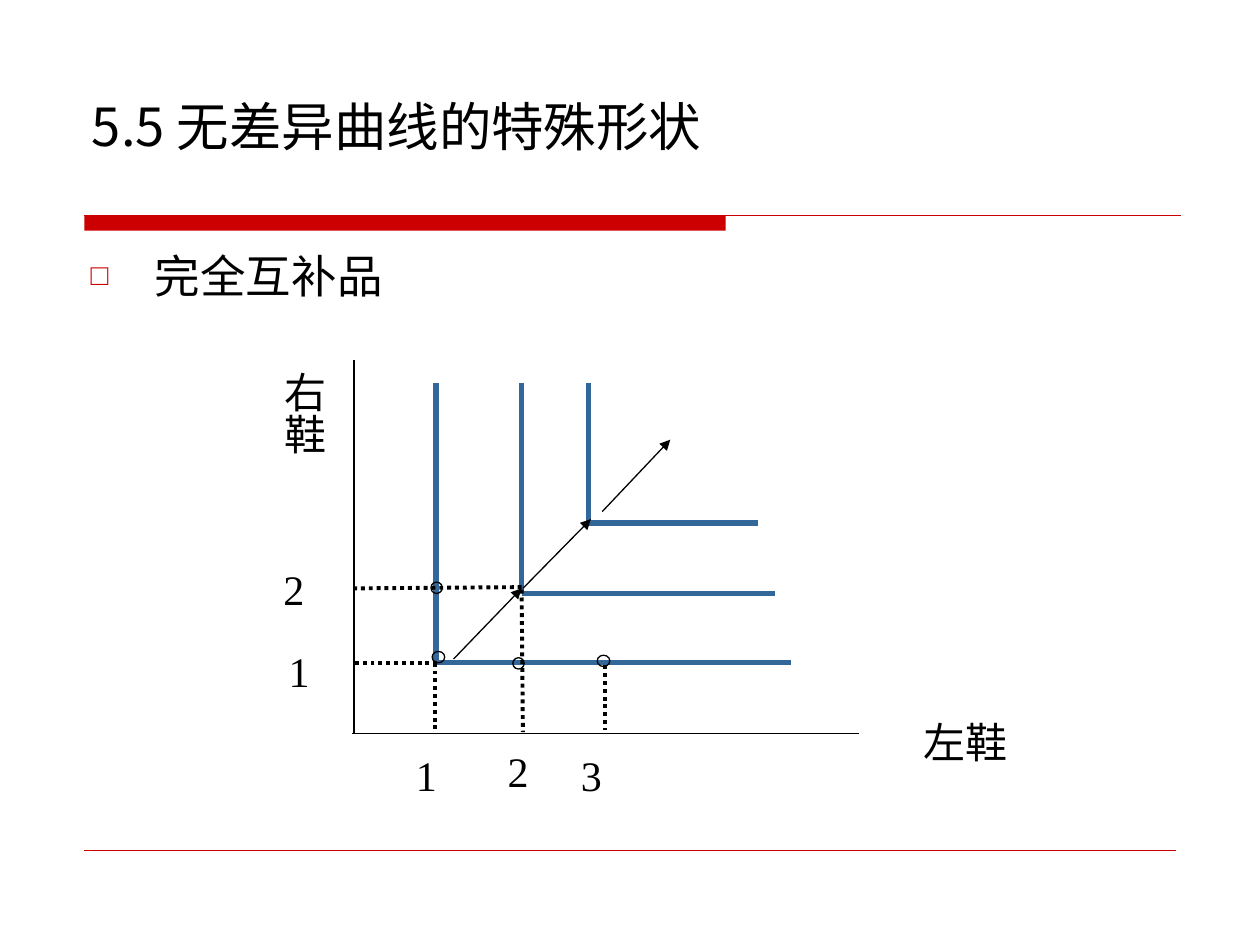
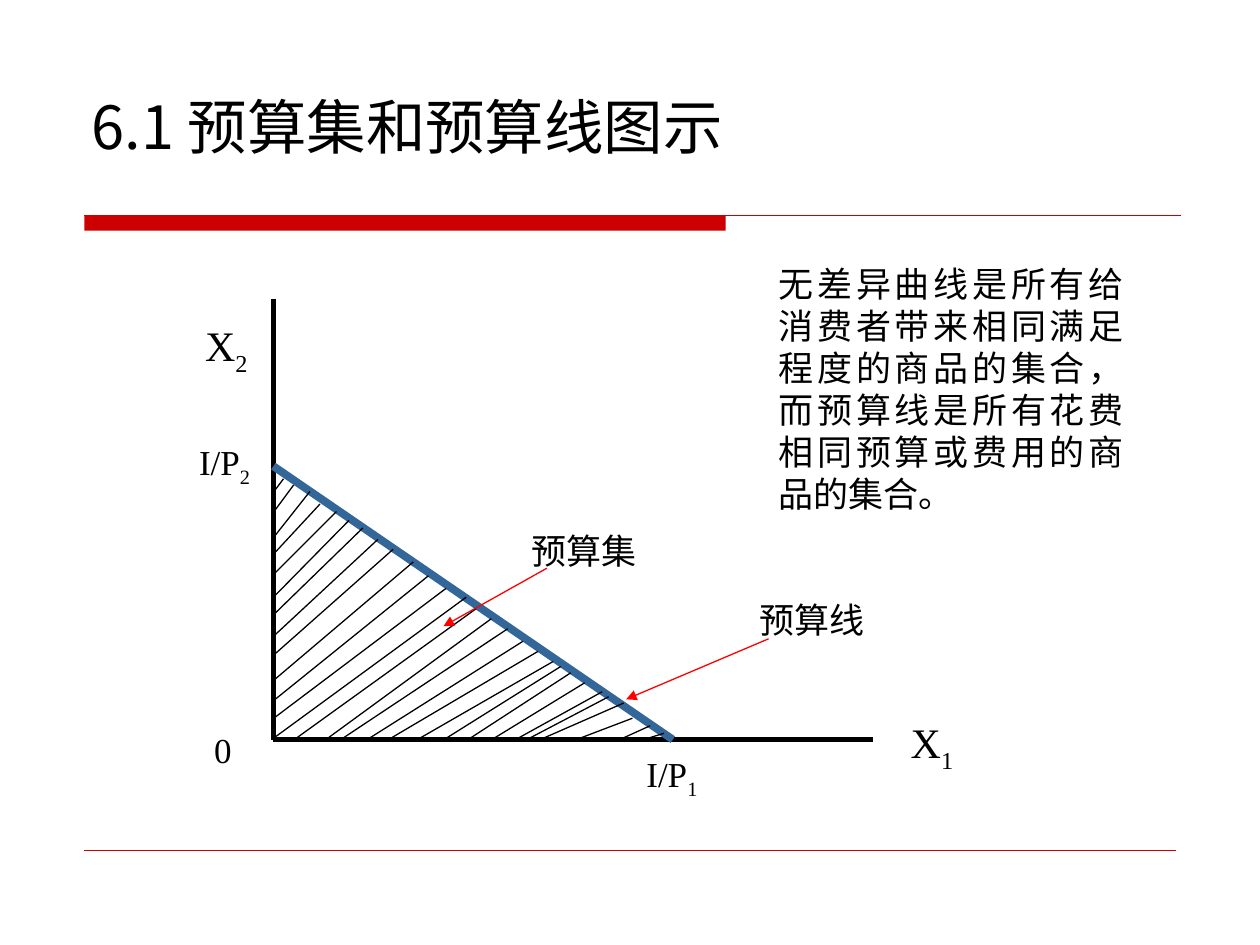
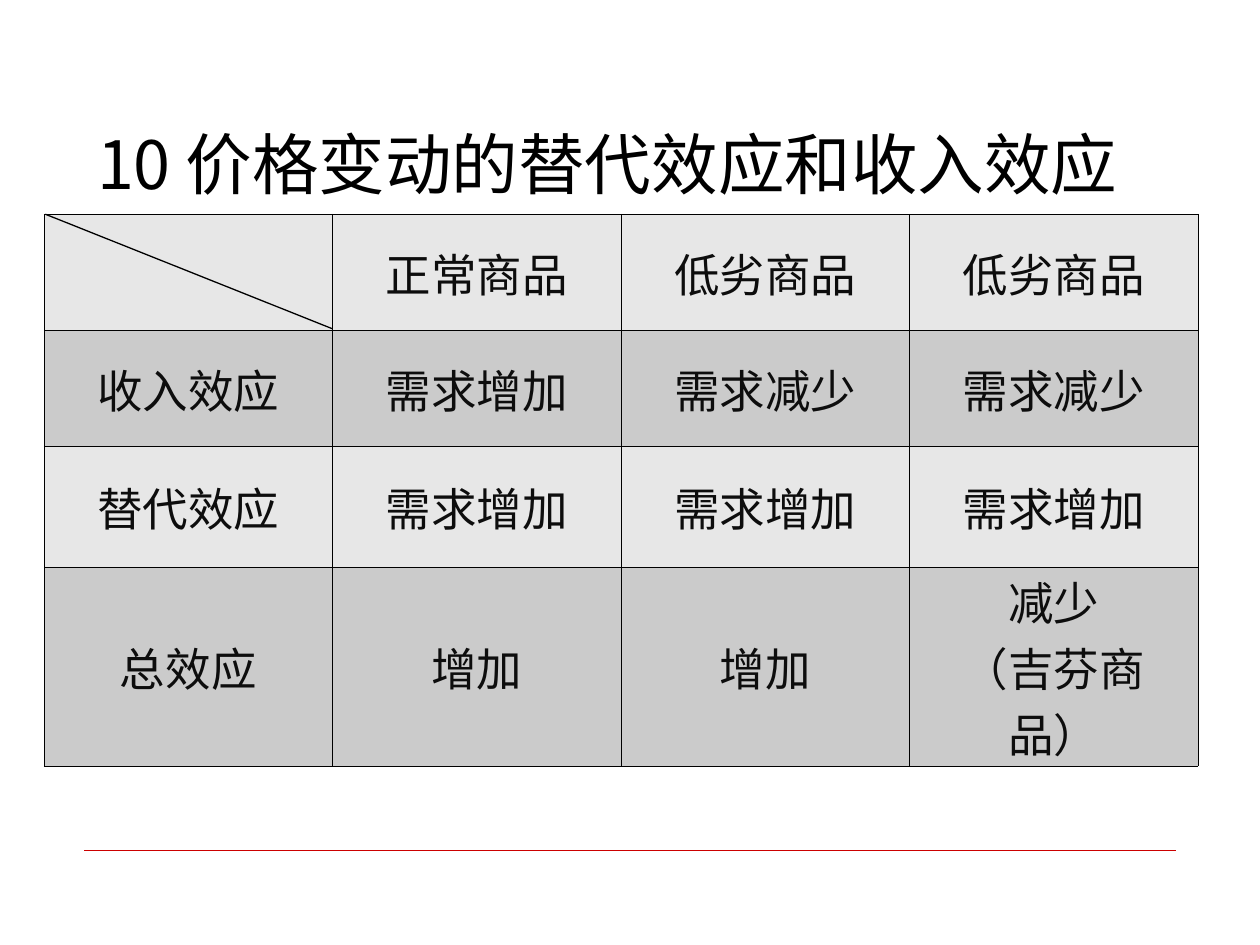
from dataclasses import dataclass
from typing import Any

from lxml.etree import SubElement
from pptx import Presentation
from pptx.dml.color import RGBColor
from pptx.enum.dml import MSO_LINE
from pptx.enum.shapes import MSO_CONNECTOR, MSO_SHAPE
from pptx.enum.text import MSO_ANCHOR as ANCHOR, MSO_AUTO_SIZE as AUTO, PP_ALIGN as ALIGN
from pptx.oxml.ns import qn
from pptx.util import Emu, Pt

EMU_PER_PX = 9144
SANS, SERIF = "Noto Sans CJK SC", "Times New Roman"
BLACK, RED, BLUE, ARROW_RED = "000000", "CC0000", "336699", "FF0000"
INK, PALE, GREY = "0D0D0D", "E7E7E7", "CBCBCB"
LAYOUT_BODY, LAYOUT_TITLE = 1, 5


def px(n):
    """Turn px into EMU."""
    return Emu(n * EMU_PER_PX)


def rgb(color):
    """Turn a hex string into a colour."""
    return RGBColor.from_string(color)


def write(tf, text, size=24, font=SERIF, color=BLACK, align=ALIGN.JUSTIFY,
          anchor=ANCHOR.TOP, insets=(0, 0), sub=""):
    """Fill a text frame, one paragraph per line, with an optional subscript."""
    tf.word_wrap, tf.auto_size, tf.vertical_anchor = True, AUTO.NONE, anchor
    tf.margin_left = tf.margin_right = px(insets[0])
    tf.margin_top = tf.margin_bottom = px(insets[1])
    write_lines(tf, text, size, font, color, align, sub)


def write_lines(tf, text, size, font, color, align, sub=""):
    """Write formatted lines into a text frame or a cell's frame."""
    for i, line in enumerate(text.split("\n")):
        p = tf.add_paragraph() if i else tf.paragraphs[0]
        p.alignment, p.space_before = align, Pt(0)
        for part in filter(None, (line, sub)):
            r = p.add_run()
            r.text = part
            r.font.size, r.font.name = Pt(size), font
            r.font.color.rgb = rgb(color)
            rPr = r.font._element
            SubElement(rPr, qn("a:ea")).set("typeface", SANS)
            if part is sub:
                rPr.set("baseline", "-25000")


@dataclass
class Region:
    """A part of a slide whose shapes are placed relative to its corner."""
    shapes: Any
    left: int = 0
    top: int = 0

    def place(self, x, y, w, h):
        """Give the EMU box for a box inside the region."""
        return px(self.left + x), px(self.top + y), px(w), px(h)

    def line(self, x1, y1, x2, y2, color=BLACK, width=0.75, arrow=False, dotted=False):
        """Draw a straight line, with an arrowhead or dots if asked."""
        cx = self.shapes.add_connector(MSO_CONNECTOR.STRAIGHT, *self.place(x1, y1, 0, 0)[:2],
                                       *self.place(x2, y2, 0, 0)[:2])
        cx.line.color.rgb, cx.line.width = rgb(color), Pt(width)
        if dotted:
            cx.line.dash_style = MSO_LINE.ROUND_DOT
        if arrow:
            SubElement(cx.line._get_or_add_ln(), qn("a:tailEnd")).set("type", "triangle")
        SubElement(cx.element.spPr, qn("a:effectLst"))
        return cx

    def shape(self, kind, box, fill=None, line=None):
        """Draw a preset shape with a plain fill and line."""
        sp = self.shapes.add_shape(kind, *self.place(*box))
        sp.shadow.inherit = False
        if fill:
            sp.fill.solid()
            sp.fill.fore_color.rgb = rgb(fill)
        else:
            sp.fill.background()
        if line:
            sp.line.color.rgb, sp.line.width = rgb(line), Pt(0.75)
        else:
            sp.line.fill.background()
        return sp

    def text(self, text, box, **fmt):
        """Add a text box."""
        sp = self.shapes.add_textbox(*self.place(*box))
        write(sp.text_frame, text, **fmt)
        return sp


def move(sp, left, top, width, height):
    """Set the box of a placeholder."""
    sp.left, sp.top, sp.width, sp.height = map(px, (left, top, width, height))


def decorate_master(prs, slide):
    """Put the red band and the footer rule on the slide master."""
    page = Region(slide.shapes)
    parts = (page.shape(MSO_SHAPE.RECTANGLE, (67, 171, 509, 12), RED),
             page.line(67, 171, 937, 171, RED),
             page.line(67, 675, 933, 675, RED, 0.25))
    for number, sp in enumerate(parts, 101):
        sp.element.xpath(".//p:cNvPr")[0].set("id", str(number))
        prs.slide_master.element.cSld.spTree.append(sp.element)


def add_slide(prs, layout, title, size, left=63, align=ALIGN.LEFT, anchor=ANCHOR.MIDDLE):
    """Add a slide with its title."""
    slide = prs.slides.add_slide(prs.slide_layouts[layout])
    sp = slide.shapes.title
    move(sp, left, 33, 875, 133)
    write(sp.text_frame, title, size=size, font=SANS, align=align, anchor=anchor, insets=(10, 5))
    return slide


def fill_body(sp, text):
    """Write the bulleted point in the body placeholder."""
    move(sp, 62, 192, 875, 467)
    pPr = sp.text_frame.paragraphs[0]._p.get_or_add_pPr()
    pPr.set("marL", str(px(51)))
    pPr.set("indent", str(-px(51)))
    color = SubElement(pPr, qn("a:buClr"))
    SubElement(color, qn("a:srgbClr")).set("val", RED)
    SubElement(pPr, qn("a:buSzPct")).set("val", "65000")
    SubElement(pPr, qn("a:buChar")).set("char", "□")
    write(sp.text_frame, text, size=26, font=SANS, align=ALIGN.LEFT, insets=(10, 5))


def draw_complements(region):
    """Draw the L-shaped indifference curves for perfect complements."""
    region.line(101, 6, 101, 302)
    region.line(99, 302, 502, 302)
    for x, y, end in ((166, 246, 448), (234, 191, 435), (287, 135, 422)):
        region.line(x, 24, x, y, BLUE, 3)
        region.line(x, y, end, y, BLUE, 3)
    for ends in ((180, 243, 234, 187), (235, 187, 289, 132), (298, 126, 352, 69)):
        region.line(*ends, arrow=True)
    region.text("左鞋", (543, 284, 121, 56), insets=(10, 5))
    sp = region.text("右鞋", (5, 5, 81, 93), insets=(5, 10))
    sp.text_frame._txBody.bodyPr.set("vert", "eaVert")
    for x, y, w in ((163, 237, 10), (227, 242, 9), (162, 182, 9), (294, 240, 10)):
        region.shape(MSO_SHAPE.OVAL, (x, y, w, 9), line=BLACK)
    for ends in ((165, 246, 165, 301), (167, 246, 100, 246), (234, 188, 235, 301),
                 (300, 248, 300, 299), (234, 186, 100, 187)):
        region.line(*ends, width=2.25, dotted=True)
    for label, x, y in (("1", 150, 315), ("2", 45, 167), ("2", 223, 312),
                        ("1", 49, 232), ("3", 281, 315)):
        region.text(label, (x, y, 40, 36))


def draw_budget(region):
    """Draw the budget line, the hatched budget set and their labels."""
    region.line(67, 37, 67, 387, width=3)
    region.line(67, 387, 543, 387, width=3)
    region.line(67, 170, 384, 387, BLUE, 4.5)
    to_left_axis = ((204, 267, 371), (190, 257, 357), (178, 246, 341), (162, 236, 321),
                    (150, 228, 306), (138, 219, 289), (127, 213, 275), (117, 206, 257),
                    (104, 200, 241), (96, 190, 228), (83, 185, 208), (75, 180, 192))
    to_bottom_axis = ((220, 274, 67), (228, 283, 85), (240, 291, 110), (253, 299, 122),
                      (265, 309, 143), (277, 317, 160), (289, 325, 183), (295, 329, 204),
                      (303, 334, 223), (314, 342, 242), (328, 349, 261), (333, 353, 270),
                      (345, 358, 281), (352, 370, 310), (366, 376, 344), (377, 382, 364))
    for x, y, end in to_left_axis:
        region.line(x, y, 66, end)
    for x, y, end in to_bottom_axis:
        region.line(x, y, end, 386)
    for label, sub, box in (("0", "", (20, 378, 21, 34)),
                            ("I/P", "2", (8, 150, 51, 37)),
                            ("I/P", "1", (363, 397, 45, 45)),
                            ("预算集", "", (272, 220, 106, 34)),
                            ("预算线", "", (453, 275, 91, 29))):
        region.text(label, box, size=20, sub=sub)
    for sub, x, y in (("2", 3, 49), ("1", 563, 364)):
        region.text("X", (x, y, 70, 49), sub=sub, align=ALIGN.LEFT, insets=(10, 5))
    for ends in ((284, 251, 202, 297), (460, 307, 347, 355)):
        region.line(*ends, color=ARROW_RED, arrow=True)
    region.text("无差异曲线是所有给消费者带来相同满足程度的商品的集合，"
                "而预算线是所有花费相同预算或费用的商品的集合。", (468, 8, 274, 221), size=20)


def format_cell(cell, text, fill):
    """Write one table cell with its borders and fill."""
    tcPr = cell._tc.get_or_add_tcPr()
    for side in ("lnL", "lnR", "lnT", "lnB"):
        ln = SubElement(tcPr, qn(f"a:{side}"), w=str(Pt(0.45)))
        SubElement(SubElement(ln, qn("a:solidFill")), qn("a:srgbClr")).set("val", BLACK)
    cell.fill.solid()
    cell.fill.fore_color.rgb = rgb(fill)
    cell.margin_top = cell.margin_bottom = 0
    cell.vertical_anchor = ANCHOR.MIDDLE
    write_lines(cell.text_frame, text, 26, SANS, INK, ALIGN.CENTER)


def draw_effects(region):
    """Draw the table of income, substitution and total effects."""
    rows = (("", "正常商品", "低劣商品", "低劣商品"),
            ("收入效应", "需求增加", "需求减少", "需求减少"),
            ("替代效应", "需求增加", "需求增加", "需求增加"),
            ("总效应", "增加", "增加", "减少\n（吉芬商品）"))
    heights = (92, 92, 96, 158)
    table = region.shapes.add_table(4, 4, *region.place(0, 0, 916, sum(heights))).table
    table.first_row = table.horz_banding = False
    for r, (texts, height) in enumerate(zip(rows, heights)):
        table.rows[r].height = px(height)
        for c, text in enumerate(texts):
            format_cell(table.cell(r, c), text, GREY if r % 2 else PALE)
    region.line(229, 91, 1, 0)


def main():
    """Build the three slides."""
    prs = Presentation()
    prs.slide_width, prs.slide_height = px(1000), px(750)

    slide = add_slide(prs, LAYOUT_BODY, "5.5 无差异曲线的特殊形状", 30, align=ALIGN.JUSTIFY)
    decorate_master(prs, slide)
    fill_body(slide.placeholders[1], "完全互补品")
    draw_complements(Region(slide.shapes, 180, 280))

    slide = add_slide(prs, LAYOUT_TITLE, "6.1 预算集和预算线图示", 34)
    draw_budget(Region(slide.shapes, 150, 200))

    slide = add_slide(prs, LAYOUT_TITLE, "10 价格变动的替代效应和收入效应", 38, left=67,
                      anchor=ANCHOR.BOTTOM)
    draw_effects(Region(slide.shapes, 35, 170))
    prs.save("out.pptx")


if __name__ == "__main__":
    main()
